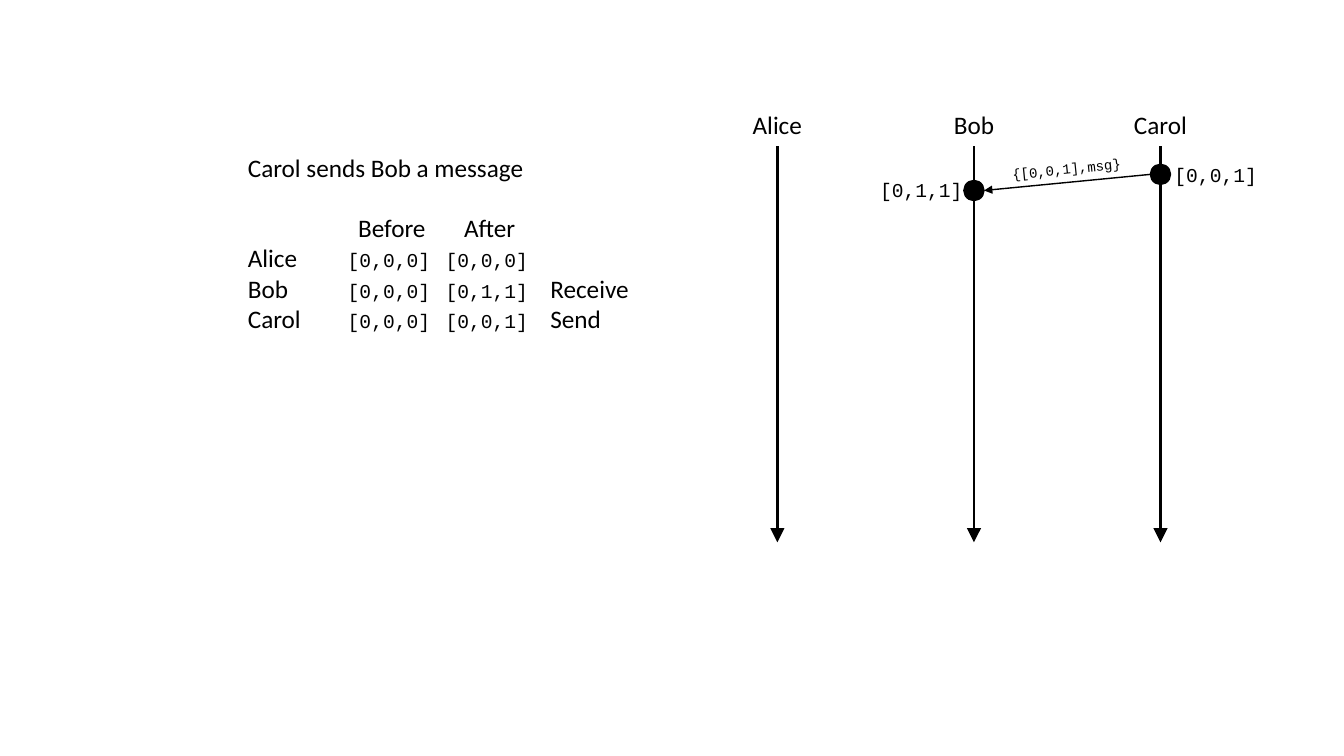
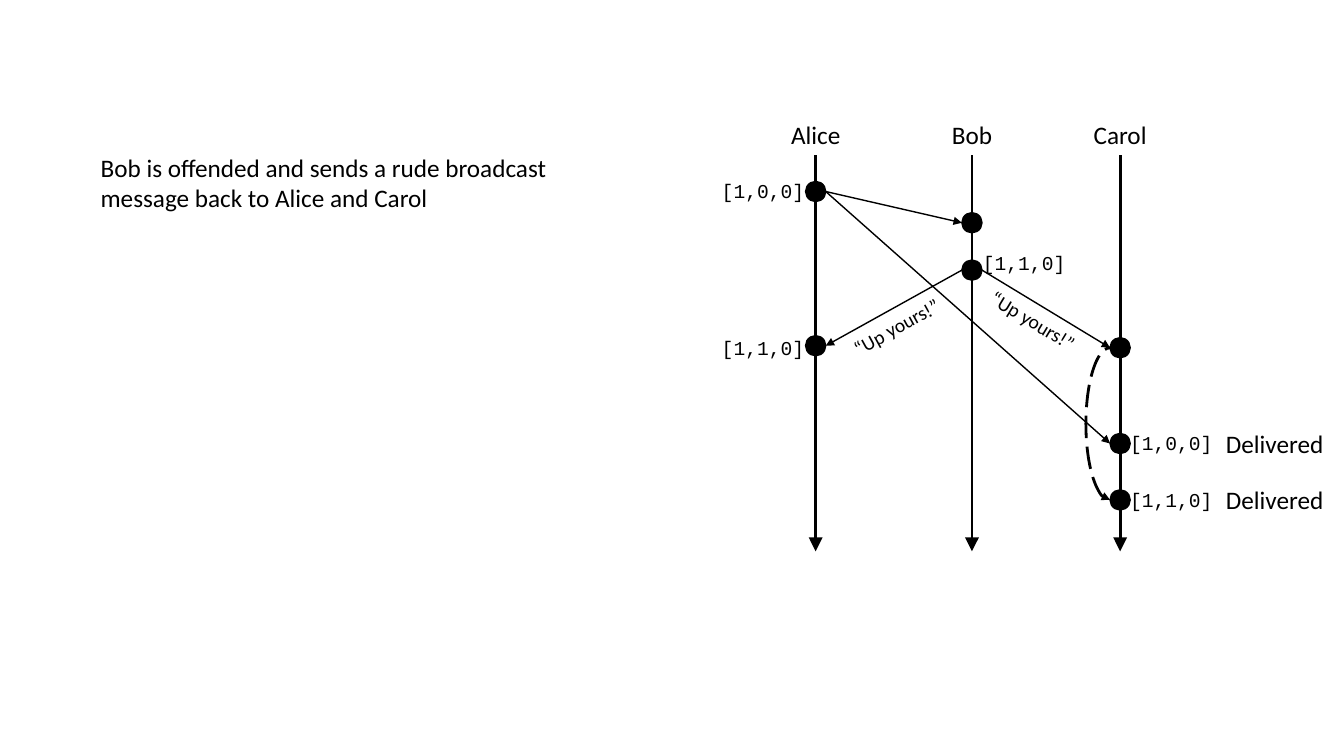
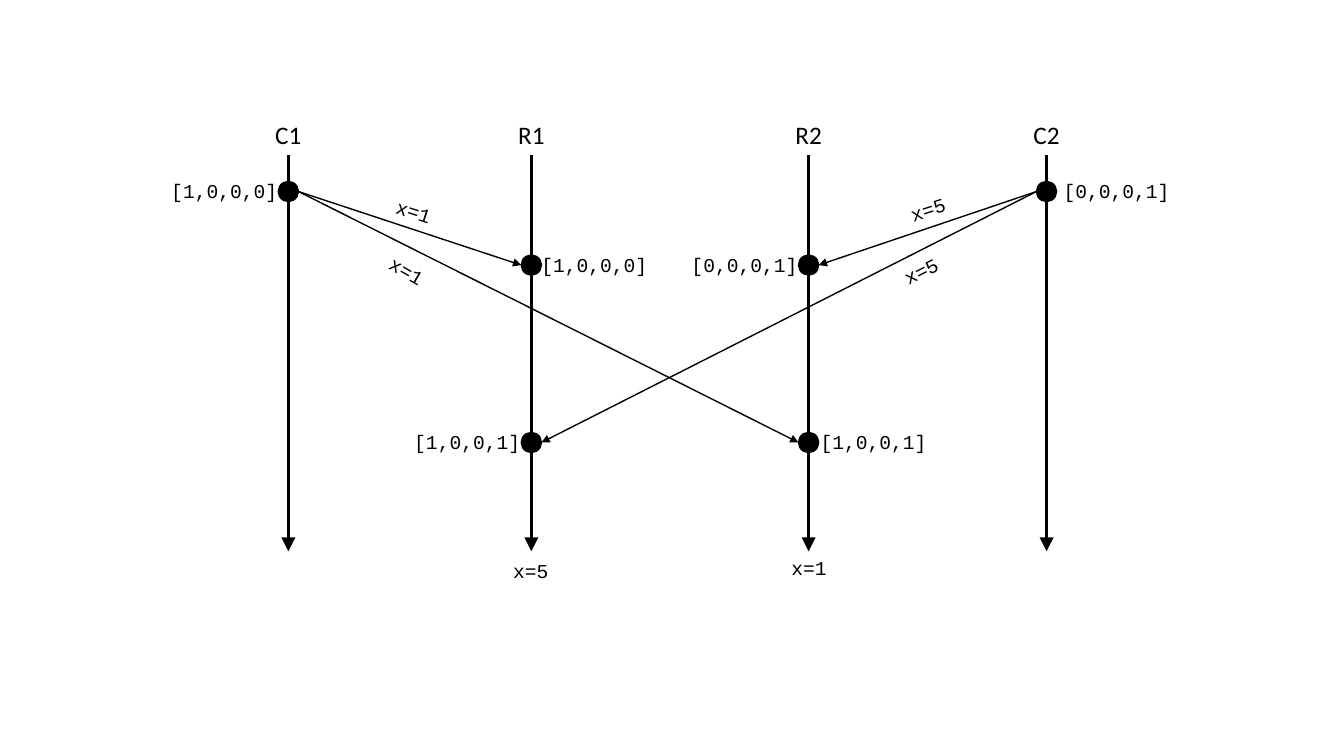
from dataclasses import dataclass

from lxml import etree
from pptx import Presentation
from pptx.dml.color import RGBColor
from pptx.dml.line import LineFormat
from pptx.enum.dml import MSO_LINE
from pptx.enum.shapes import MSO_CONNECTOR, MSO_SHAPE
from pptx.enum.text import MSO_AUTO_SIZE, PP_ALIGN
from pptx.oxml.ns import qn
from pptx.slide import Slide
from pptx.util import Inches, Pt

STRAIGHT = MSO_CONNECTOR.STRAIGHT
OVAL, ARC = MSO_SHAPE.OVAL, MSO_SHAPE.ARC
LONG_DASH = MSO_LINE.LONG_DASH
LEFT, CENTER = PP_ALIGN.LEFT, PP_ALIGN.CENTER
FIT_SHAPE = MSO_AUTO_SIZE.SHAPE_TO_FIT_TEXT
BLANK_LAYOUT = 6


@dataclass(frozen=True)
class Theme:
    ink: RGBColor = RGBColor(0, 0, 0)
    text_font: str = "Calibri"
    code_font: str = "Courier New"
    body: int = 18
    code: int = 14
    small: int = 10
    lifeline: int = 2
    message: int = 1


THEME = Theme()
RADIUS = 0.1
PADDING = 0.1
LINE_HEIGHT = {THEME.body: 0.4, THEME.code: 0.34, THEME.small: 0.27}


@dataclass(frozen=True)
class Lane:
    name: str
    x: float
    label_width: float


@dataclass(frozen=True)
class Event:
    """A dot on a lane; dx and dy nudge its clock."""
    lane: Lane
    y: float
    clock: str = ""
    clock_on_left: bool = False
    dx: float = 0
    dy: float = 0


@dataclass(frozen=True)
class Message:
    sender: Event
    receiver: Event


@dataclass(frozen=True)
class Note:
    text: str
    left: float
    top: float
    width: float
    angle: float = 0
    font: str = THEME.code_font
    size: int = THEME.code


@dataclass(frozen=True)
class Diagram:
    lanes: list[Lane]
    top: float
    events: list[Event]
    messages: list[Message]
    notes: list[Note]


def style_font(font, name: str, size: int) -> None:
    font.name, font.size = name, Pt(size)
    font.color.rgb = THEME.ink


def style_line(line: LineFormat, width: int) -> None:
    line.color.rgb = THEME.ink
    line.width = Pt(width)


def add_text(slide: Slide, note: Note, wrap: bool = False,
             align: PP_ALIGN = LEFT, lines: int = 1) -> None:
    height = PADDING + lines * (LINE_HEIGHT[note.size] - PADDING)
    box = slide.shapes.add_textbox(Inches(note.left), Inches(note.top),
                                   Inches(note.width), Inches(height))
    box.rotation = note.angle
    box.text_frame.word_wrap = wrap
    box.text_frame.auto_size = FIT_SHAPE
    para = box.text_frame.paragraphs[0]
    para.text = note.text
    para.alignment = align
    style_font(para.font, note.font, note.size)


def add_arrow(slide: Slide, x1: float, y1: float, x2: float, y2: float,
              width: int, head: str = "med") -> None:
    arrow = slide.shapes.add_connector(STRAIGHT, Inches(x1), Inches(y1), Inches(x2), Inches(y2))
    style_line(arrow.line, width)
    properties = arrow._element.spPr
    etree.SubElement(properties.find(qn("a:ln")), qn("a:tailEnd"),
                     type="triangle", w=head, len=head)
    etree.SubElement(properties, qn("a:effectLst"))


def add_dot(slide: Slide, event: Event) -> None:
    dot = slide.shapes.add_shape(OVAL, Inches(event.lane.x - RADIUS), Inches(event.y - RADIUS),
                                 Inches(2 * RADIUS), Inches(2 * RADIUS))
    dot.shadow.inherit = False
    dot.fill.solid()
    dot.fill.fore_color.rgb = THEME.ink
    style_line(dot.line, THEME.message)


def add_clock(slide: Slide, event: Event) -> None:
    width = round(2 * PADDING + len(event.clock) * 0.6 * THEME.code / 72, 2)
    left = event.lane.x - 0.01 - width if event.clock_on_left else event.lane.x + 0.01
    add_text(slide, Note(event.clock, left + event.dx, event.y - 0.17 + event.dy, width))


def add_message(slide: Slide, message: Message) -> None:
    start, end = message.sender, message.receiver
    reach = RADIUS if end.lane.x > start.lane.x else -RADIUS
    add_arrow(slide, start.lane.x + reach, start.y, end.lane.x - reach, end.y, THEME.message)


def draw_diagram(slide: Slide, diagram: Diagram) -> None:
    for lane in diagram.lanes:
        add_arrow(slide, lane.x, diagram.top, lane.x, diagram.top + 3.93,
                  THEME.lifeline, head="lg")
        add_text(slide, Note(lane.name, lane.x - lane.label_width / 2, diagram.top - 0.41,
                             lane.label_width, font=THEME.text_font, size=THEME.body),
                 align=CENTER)
    for message in diagram.messages:
        add_message(slide, message)
    for event in diagram.events:
        add_dot(slide, event)
        if event.clock:
            add_clock(slide, event)
    for note in diagram.notes:
        add_text(slide, note)


def add_delay(slide: Slide, start: Event, end: Event) -> None:
    """Join two dots of one lane by a dashed half ellipse that bulges to the left."""
    bulge = 0.24
    curve = slide.shapes.add_shape(ARC, Inches(start.lane.x - RADIUS - bulge), Inches(start.y),
                                   Inches(2 * bulge), Inches(end.y - start.y))
    # The arc runs clockwise from 90 to 270 degrees, so its head is at the bottom.
    for index, degrees in enumerate((90, 270)):
        curve.adjustments[index] = degrees * 60000 / 100000
    curve.shadow.inherit = False
    curve.fill.background()
    style_line(curve.line, THEME.lifeline)
    curve.line.dash_style = LONG_DASH
    etree.SubElement(curve._element.spPr.find(qn("a:ln")), qn("a:headEnd"), type="triangle")


def add_clock_list(slide: Slide) -> None:
    """Write the clocks before and after the message, in tabbed columns."""
    tab_stops = [(1.4, "ctr"), (2.37, "ctr"), (3, "l")]
    rows = [
        ("Carol sends Bob a message", "", ""),
        ("\t Before\t After", "", ""),
        ("Alice", "\t[0,0,0]\t[0,0,0]", ""),
        ("Bob", "\t[0,0,0]\t[0,1,1]", "\tReceive"),
        ("Carol", "\t[0,0,0]\t[0,0,1]", "\tSend"),
    ]
    box = slide.shapes.add_textbox(Inches(2.36), Inches(1.46), Inches(4.72), Inches(1.92))
    frame = box.text_frame
    frame.word_wrap = True
    frame.auto_size = FIT_SHAPE
    for index, (name, clocks, action) in enumerate(rows):
        para = frame.add_paragraph() if index else frame.paragraphs[0]
        if index:
            tabs = etree.SubElement(para._p.get_or_add_pPr(), qn("a:tabLst"))
            for position, kind in tab_stops:
                etree.SubElement(tabs, qn("a:tab"), pos=str(Inches(position)), algn=kind)
        if index == 1:
            para.space_before = Pt(21.5)
        style_font(para.font, THEME.text_font, THEME.body)
        for text in filter(None, (name, clocks, action)):
            span = para.add_run()
            span.text = text
            if text == clocks:
                style_font(span.font, THEME.code_font, THEME.code)


def build_send(slide: Slide) -> None:
    alice, bob, carol = Lane("Alice", 7.71, 0.7), Lane("Bob", 9.66, 0.61), Lane("Carol", 11.51, 0.73)
    sent = Event(carol, 1.73, "[0,0,1]", dx=0.03, dy=0.01)
    received = Event(bob, 1.89, "[0,1,1]", clock_on_left=True)
    add_clock_list(slide)
    draw_diagram(slide, Diagram(
        [alice, bob, carol], 1.45, [sent, received], [Message(sent, received)],
        [Note("{[0,0,1],msg}", 9.94, 1.54, 1.3, 354.2, size=THEME.small)]))


def build_broadcast(slide: Slide) -> None:
    alice, bob, carol = Lane("Alice", 8.09, 0.7), Lane("Bob", 9.64, 0.61), Lane("Carol", 11.11, 0.73)
    sent = Event(alice, 1.9, "[1,0,0]", clock_on_left=True)
    bob_received = Event(bob, 2.21)
    replied = Event(bob, 2.68, "[1,1,0]", dy=-0.07)
    alice_received = Event(alice, 3.43, "[1,1,0]", clock_on_left=True, dy=0.02)
    held = Event(carol, 3.45)
    first = Event(carol, 4.4, "[1,0,0]", dx=-0.01)
    second = Event(carol, 4.96, "[1,1,0]", dx=-0.01)
    add_text(slide, Note("Bob is offended and sends a rude broadcast message back to Alice and Carol",
                         0.9, 1.46, 5.33, font=THEME.text_font, size=THEME.body),
             wrap=True, lines=2)
    replies = [Note("“Up yours!”", left, top, 1.27, angle, THEME.text_font)
               for left, top, angle in [(8.32, 3.04, 331.3), (9.67, 3.05, 31.1)]]
    deliveries = [Note("Delivered", 12.06, event.y - 0.2, 1.18,
                       font=THEME.text_font, size=THEME.body) for event in (first, second)]
    draw_diagram(slide, Diagram(
        [alice, bob, carol], 1.54,
        [sent, bob_received, replied, alice_received, held, first, second],
        [Message(sent, bob_received), Message(sent, first),
         Message(replied, alice_received), Message(replied, held)],
        replies + deliveries))
    add_delay(slide, held, second)


def build_replicas(slide: Slide) -> None:
    client_1, replica_1 = Lane("C1", 2.86, 0.46), Lane("R1", 5.27, 0.47)
    replica_2, client_2 = Lane("R2", 8.02, 0.47), Lane("C2", 10.38, 0.46)
    sent_1 = Event(client_1, 1.9, "[1,0,0,0]", clock_on_left=True)
    sent_2 = Event(client_2, 1.9, "[0,0,0,1]", dx=0.06)
    near_1 = Event(replica_1, 2.63, "[1,0,0,0]", dx=-0.01)
    near_2 = Event(replica_2, 2.63, "[0,0,0,1]", clock_on_left=True)
    far_1 = Event(replica_1, 4.39, "[1,0,0,1]", clock_on_left=True)
    far_2 = Event(replica_2, 4.39, "[1,0,0,1]", dx=0.01)
    writes = [("x=1", 3.83, 1.93, 18), ("x=1", 3.76, 2.52, 30),
              ("x=5", 8.93, 1.91, 342), ("x=5", 8.86, 2.52, 333),
              ("x=5", 4.99, 5.5, 0), ("x=1", 7.75, 5.47, 0)]
    draw_diagram(slide, Diagram(
        [client_1, replica_1, replica_2, client_2], 1.54,
        [sent_1, sent_2, near_1, near_2, far_1, far_2],
        [Message(sent_1, near_1), Message(sent_1, far_2),
         Message(sent_2, near_2), Message(sent_2, far_1)],
        [Note(text, left, top, 0.55, angle) for text, left, top, angle in writes]))


def main() -> None:
    deck = Presentation()
    deck.slide_width, deck.slide_height = Inches(13.33), Inches(7.5)
    for build in (build_send, build_broadcast, build_replicas):
        build(deck.slides.add_slide(deck.slide_layouts[BLANK_LAYOUT]))
    deck.save("out.pptx")


if __name__ == "__main__":
    main()
